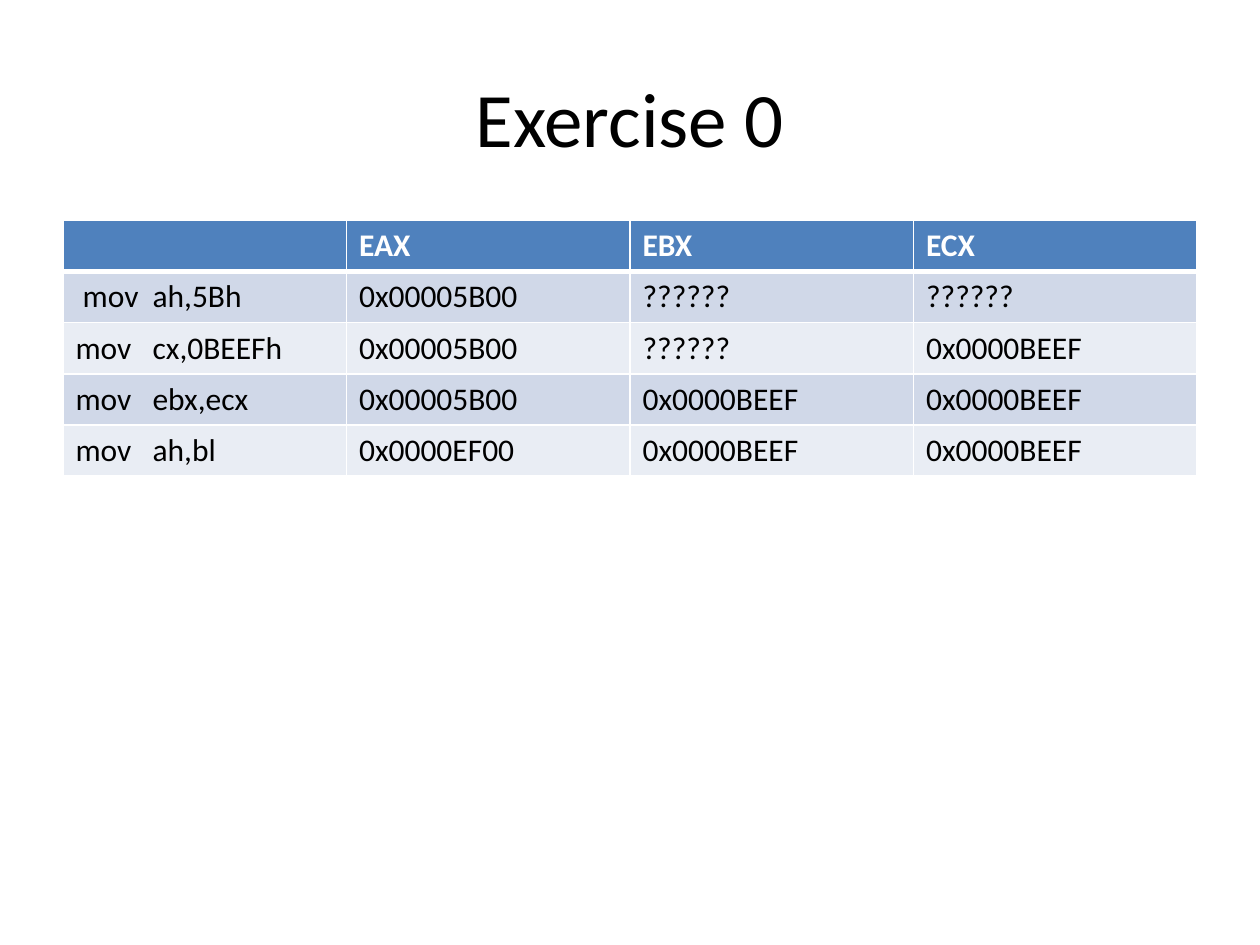
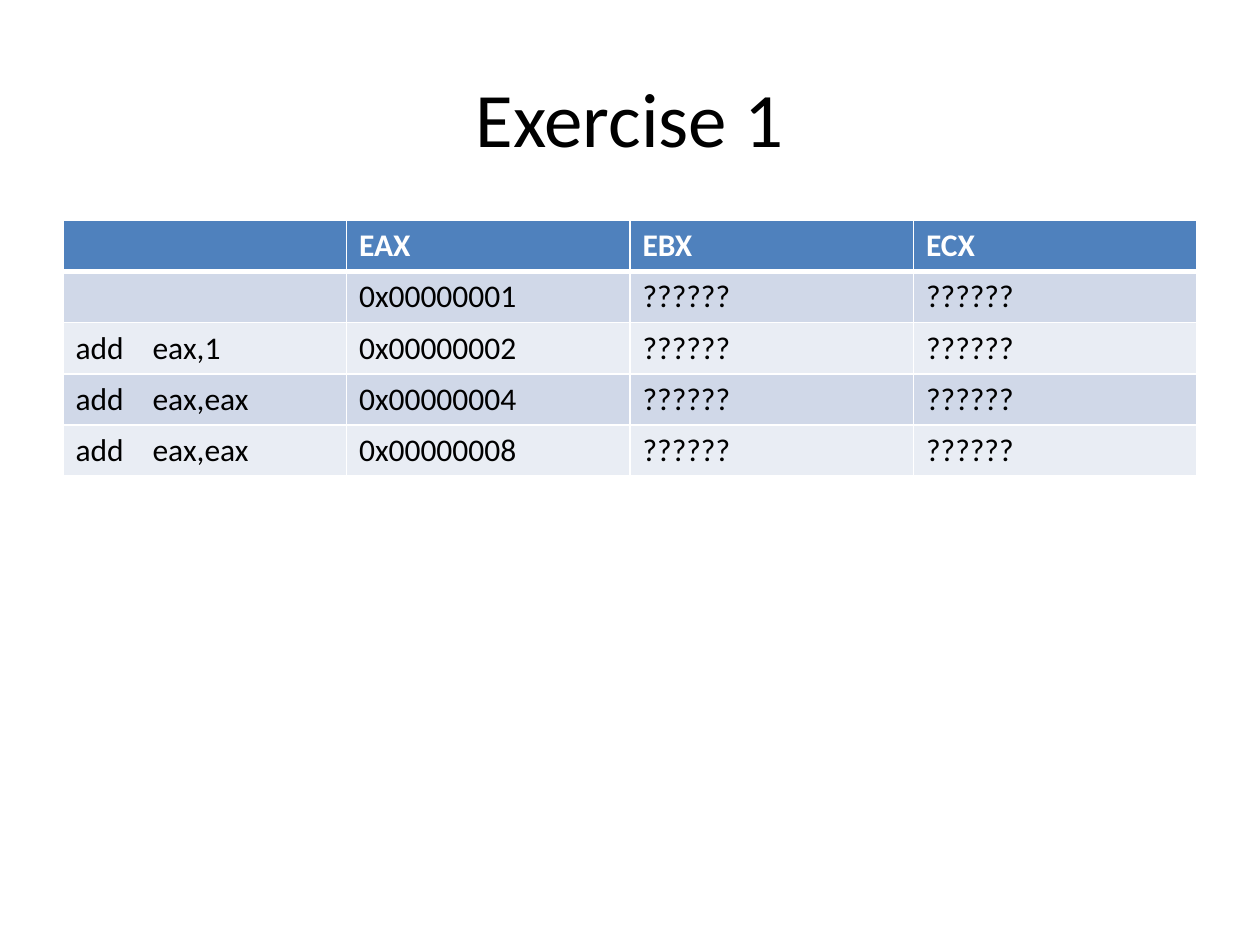
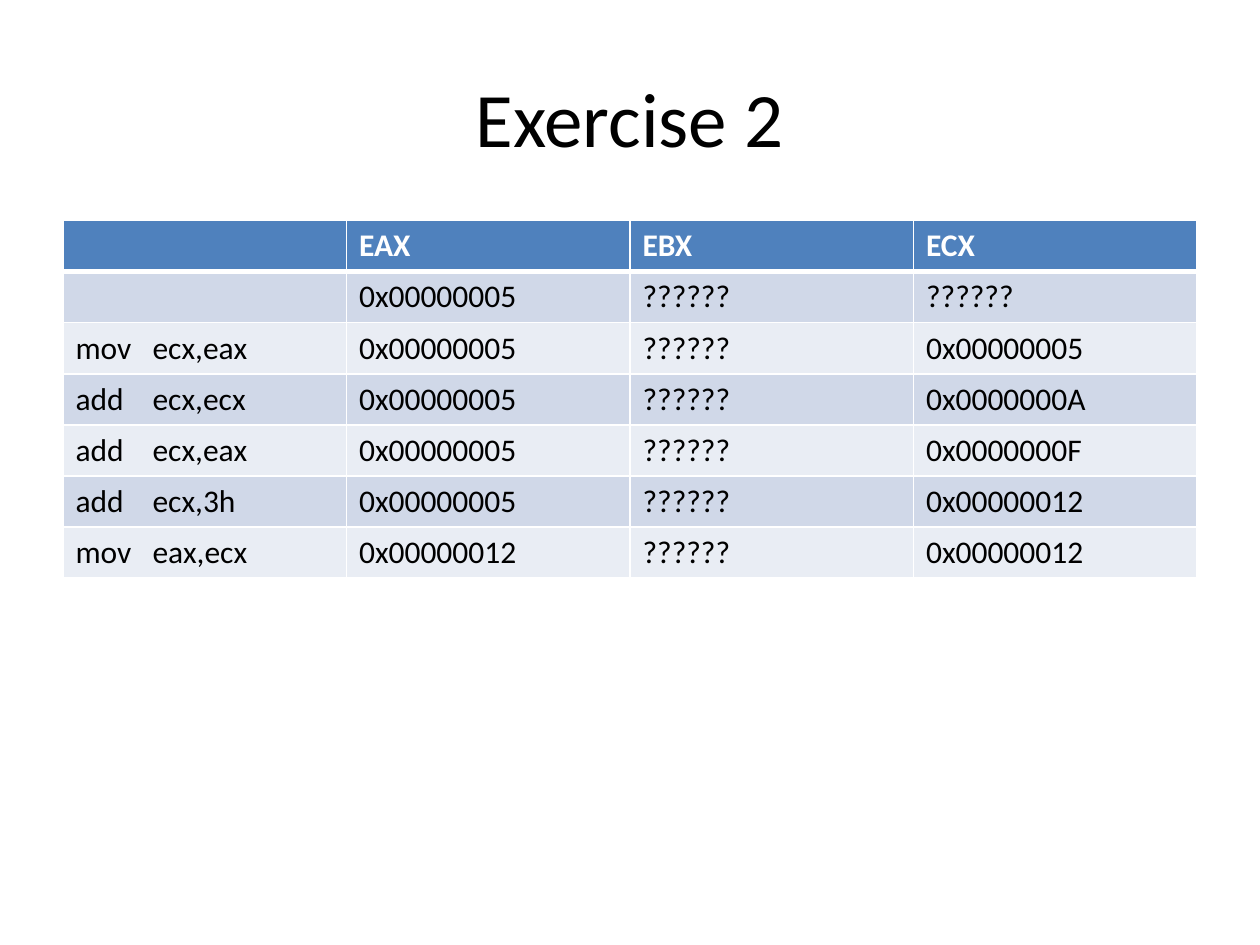
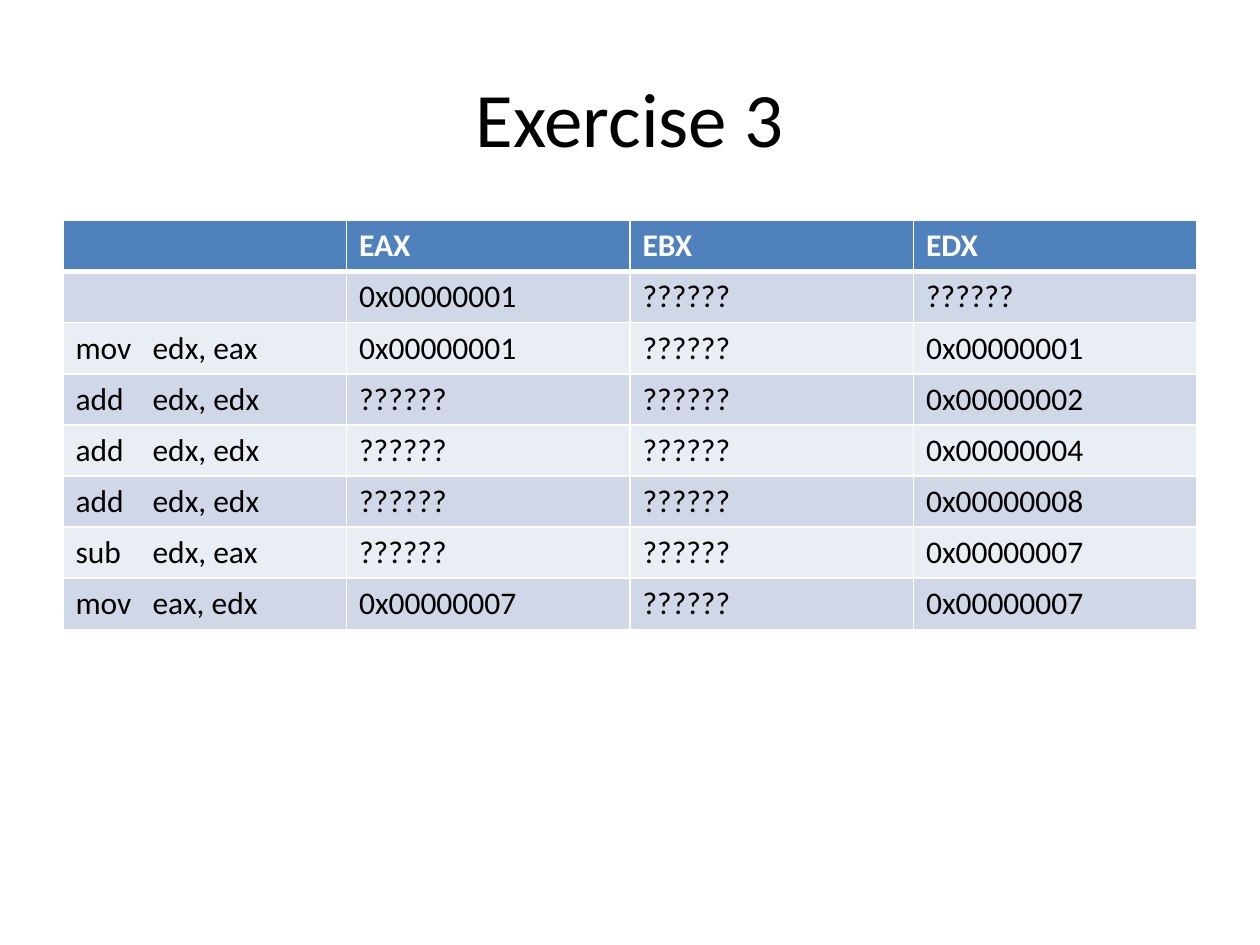
"""Build four register-tracing exercise slides."""
import dataclasses

import pptx
import pptx.dml.color
import pptx.enum.text
import pptx.oxml.ns
import pptx.util
from lxml import etree

Pt = pptx.util.Pt
UNKNOWN = "??????"


@dataclasses.dataclass(frozen=True)
class Theme:
    """Colours, type sizes and measures, in points."""
    font: str = "Calibri"
    ink: str = "000000"
    paper: str = "FFFFFF"
    header: str = "4F81BD"
    bands: tuple = ("D0D8E8", "E9EDF4")
    title_size: float = 44
    table_size: float = 18
    margin: float = 36
    content_width: float = 648
    title_top: float = 21.6
    title_height: float = 90
    table_top: float = 126
    row_height: float = 29.2
    rule: float = 1
    header_rule: float = 3
    operand_stop: float = 44


class ExerciseDeck:
    """Holds the presentation, its theme and the current slide."""

    def __init__(self, theme):
        """Start an empty 10 by 7.5 inch deck."""
        self.theme = theme
        self.deck = pptx.Presentation()
        self.deck.slide_width = Pt(720)
        self.deck.slide_height = Pt(540)
        self.slide = None

    def add_slide(self):
        """Add a blank slide and make it current."""
        self.slide = self.deck.slides.add_slide(self.deck.slide_layouts[6])

    def style(self, para, size, color, bold=False):
        """Format every run of a paragraph."""
        for span in para.runs:
            span.font.name = self.theme.font
            span.font.size = Pt(size)
            span.font.bold = bold
            span.font.color.rgb = pptx.dml.color.RGBColor.from_string(color)

    def title(self, text):
        """Add the centred slide title."""
        theme = self.theme
        box = self.slide.shapes.add_textbox(
            Pt(theme.margin), Pt(theme.title_top),
            Pt(theme.content_width), Pt(theme.title_height))
        frame = box.text_frame
        frame.word_wrap = True
        frame.vertical_anchor = pptx.enum.text.MSO_ANCHOR.MIDDLE
        frame.text = text
        para = frame.paragraphs[0]
        para.alignment = pptx.enum.text.PP_ALIGN.CENTER
        self.style(para, theme.title_size, theme.ink)

    def borders(self, cell, top, bottom):
        """Rule all four sides of a cell."""
        qn = pptx.oxml.ns.qn
        properties = cell._tc.get_or_add_tcPr()
        side_rule = self.theme.rule
        sides = {"lnL": side_rule, "lnR": side_rule, "lnT": top, "lnB": bottom}
        for side, width in sides.items():
            line = etree.SubElement(properties, qn("a:" + side), w=str(Pt(width)))
            fill = etree.SubElement(line, qn("a:solidFill"))
            etree.SubElement(fill, qn("a:srgbClr"), val=self.theme.paper)

    def operand_tab(self, para):
        """Set the tab stop that parts a mnemonic from its operands."""
        qn = pptx.oxml.ns.qn
        stops = etree.SubElement(para._p.get_or_add_pPr(), qn("a:tabLst"))
        etree.SubElement(stops, qn("a:tab"), algn="l",
                         pos=str(Pt(self.theme.operand_stop)))

    def cell(self, cell, text, row):
        """Fill, rule and write one cell according to its row."""
        theme = self.theme
        is_header = row == 0
        self.borders(cell,
                     top=theme.header_rule if row == 1 else theme.rule,
                     bottom=theme.header_rule if is_header else theme.rule)
        color = theme.header if is_header else theme.bands[(row - 1) % 2]
        cell.fill.solid()
        cell.fill.fore_color.rgb = pptx.dml.color.RGBColor.from_string(color)
        para = cell.text_frame.paragraphs[0]
        if text:
            para.text = text
        if "\t" in text:
            self.operand_tab(para)
        self.style(para, theme.table_size,
                   theme.paper if is_header else theme.ink, bold=is_header)

    def register_table(self, registers, steps):
        """Add a table of instructions and the register values after each."""
        theme = self.theme
        rows = [("", *registers), *steps]
        table = self.slide.shapes.add_table(
            len(rows), len(rows[0]), Pt(theme.margin), Pt(theme.table_top),
            Pt(theme.content_width), Pt(theme.row_height * len(rows))).table
        for row, values in enumerate(rows):
            table.rows[row].height = Pt(theme.row_height)
            for column, text in enumerate(values):
                self.cell(table.cell(row, column), text, row)


EXERCISES = [
    (("EAX", "EBX", "ECX"), [
        (" mov\tah,5Bh", "0x00005B00", UNKNOWN, UNKNOWN),
        ("mov\tcx,0BEEFh", "0x00005B00", UNKNOWN, "0x0000BEEF"),
        ("mov\tebx,ecx", "0x00005B00", "0x0000BEEF", "0x0000BEEF"),
        ("mov\tah,bl", "0x0000EF00", "0x0000BEEF", "0x0000BEEF"),
    ]),
    (("EAX", "EBX", "ECX"), [
        ("", "0x00000001", UNKNOWN, UNKNOWN),
        ("add\teax,1", "0x00000002", UNKNOWN, UNKNOWN),
        ("add\teax,eax", "0x00000004", UNKNOWN, UNKNOWN),
        ("add\teax,eax", "0x00000008", UNKNOWN, UNKNOWN),
    ]),
    (("EAX", "EBX", "ECX"), [
        ("", "0x00000005", UNKNOWN, UNKNOWN),
        ("mov\tecx,eax", "0x00000005", UNKNOWN, "0x00000005"),
        ("add\tecx,ecx", "0x00000005", UNKNOWN, "0x0000000A"),
        ("add\tecx,eax", "0x00000005", UNKNOWN, "0x0000000F"),
        ("add\tecx,3h", "0x00000005", UNKNOWN, "0x00000012"),
        ("mov\teax,ecx", "0x00000012", UNKNOWN, "0x00000012"),
    ]),
    (("EAX", "EBX", "EDX"), [
        ("", "0x00000001", UNKNOWN, UNKNOWN),
        ("mov\tedx, eax", "0x00000001", UNKNOWN, "0x00000001"),
        ("add\tedx, edx", UNKNOWN, UNKNOWN, "0x00000002"),
        ("add\tedx, edx", UNKNOWN, UNKNOWN, "0x00000004"),
        ("add\tedx, edx", UNKNOWN, UNKNOWN, "0x00000008"),
        ("sub\tedx, eax", UNKNOWN, UNKNOWN, "0x00000007"),
        ("mov\teax, edx", "0x00000007", UNKNOWN, "0x00000007"),
    ]),
]


def main():
    """Build one slide per exercise and save the deck."""
    exercises = ExerciseDeck(Theme())
    for number, (registers, steps) in enumerate(EXERCISES):
        exercises.add_slide()
        exercises.title(f"Exercise {number}")
        exercises.register_table(registers, steps)
    exercises.deck.save("out.pptx")


main()
